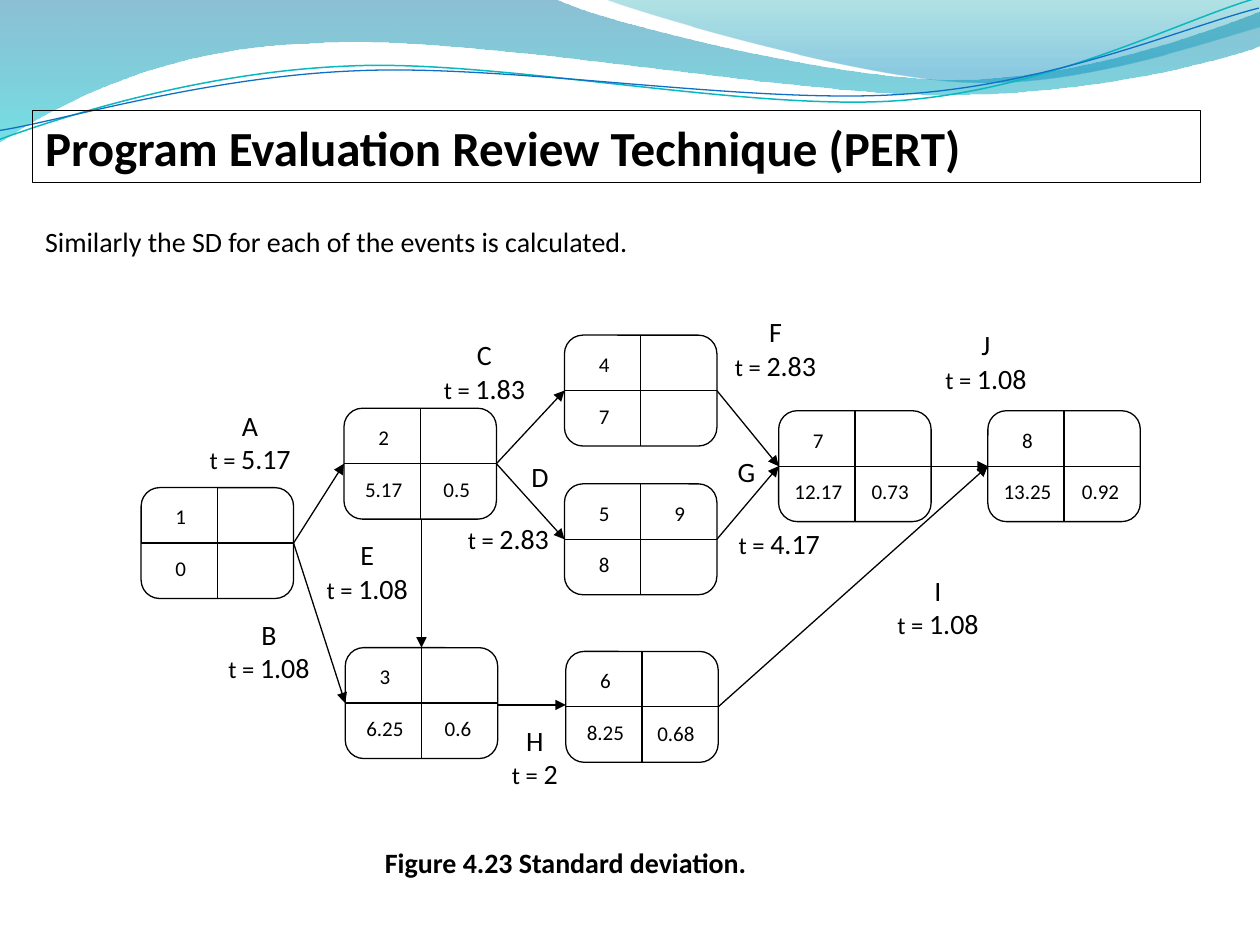
from collections import namedtuple
from dataclasses import dataclass

from lxml.etree import SubElement
from pptx import Presentation
from pptx.dml.color import RGBColor
from pptx.enum.shapes import MSO_CONNECTOR, MSO_SHAPE
from pptx.enum.text import MSO_ANCHOR, MSO_AUTO_SIZE, PP_ALIGN
from pptx.oxml.ns import qn
from pptx.util import Emu, Pt

PX = 9144  # one px is a hundredth of an inch
Box = namedtuple("Box", "left top width height")


@dataclass(frozen=True)
class Theme:
    font: str = "Calibri"
    ink: str = "000000"
    title: int = 28
    body: int = 16
    prefix: int = 14
    cell: int = 12
    line: float = 0.75
    # stops are (position, colour, opacity in percent)
    wave: tuple = ((0, "0074A1", 45), (1, "00C6CF", 55))
    crest: tuple = ((0, "00A1A9", 30), (0.8, "008BBF", 45))
    teal: str = "0AB8BF"
    blue: str = "0F6FC6"


THEME = Theme()
NODE_WIDTH, NODE_HEIGHT = 121, 88
STRAND_TILT = 357.3

# Each outline: start point, then points to draw a line to (2 numbers) or a curve to (6)
WAVE = [(0, 0), (440, -1), (476, 17, 664, 63, 758, 63), (853, 63, 958, 26, 1000, 9),
        (1001, 36), (983, 44, 870, 76, 746, 75), (622, 75, 382, 28, 257, 34),
        (129, 36, 46, 83, -1, 113), (0, 0)]
CREST = [(479, -1), (509, 11, 682, 62, 769, 65), (856, 69, 961, 32, 1000, 21),
         (1000, 0), (479, -1)]
TEAL_STRAND = [(-2, 87), (47, 72, 158, 41, 278, 42), (396, 42, 591, 93, 712, 90),
               (832, 87, 940, 36, 1000, 22)]
BLUE_STRAND = [(-2, 80), (46, 75, 164, 45, 283, 46), (404, 46, 596, 88, 716, 85),
               (835, 83, 942, 42, 1001, 30)]

# Event: left, top, earliest time
EVENTS = {
    1: (112, 387, "0"), 2: (273, 324, "5.17"), 4: (448, 266, "7"), 5: (448, 384, "8"),
    6: (449, 517, "8.25"), 3: (274, 514, "6.25"), 7: (618, 326, "12.17"),
    8: (784, 326, "13.25"),
}
ACTIVITIES = [(1, 2), (2, 4), (5, 7), (6, 8), (1, 3), (2, 3), (2, 5), (4, 7), (7, 8), (3, 6)]
# Activity label: name, time, left, top
LABELS = [
    ("A", "5.17", 155, 319), ("C", "1.83", 341, 263), ("B", "1.08", 170, 485),
    ("E", "1.08", 248, 422), ("H", "2", 381, 569), ("F", "2.83", 572, 245),
    ("J", "1.08", 739, 255), ("I", "1.08", 701, 450), ("", "4.17", 575, 413),
    ("", "2.83", 360, 409), ("D", "", 385, 360), ("G", "", 549, 356),
]
# Right-hand cell value: text, left, top
DEVIATIONS = [("0.6", 335, 568), ("0.5", 334, 378), ("0.68", 508, 572),
              ("0.73", 678, 380), ("0.92", 845, 380), ("9", 511, 397)]


def emu(*lengths):
    return [Emu(round(length * PX)) for length in lengths]


def apply_format(target, values):
    for name, value in values.items():
        setattr(target, name, value)


def draw_line(item, colour=THEME.ink, width=THEME.line):
    item.line.color.rgb = RGBColor.from_string(colour)
    item.line.width = Pt(width)


def write(shape, lines, align=PP_ALIGN.CENTER, anchor=MSO_ANCHOR.TOP, margin=None, bold=False):
    """Fill a shape with lines, each a list of (text, size) spans."""
    frame = shape.text_frame
    apply_format(frame, {"word_wrap": True, "auto_size": MSO_AUTO_SIZE.SHAPE_TO_FIT_TEXT,
                         "vertical_anchor": anchor})
    if margin is not None:
        apply_format(frame, {f"margin_{side}": margin
                             for side in ("left", "top", "right", "bottom")})
    for index, spans in enumerate(lines):
        para = frame.add_paragraph() if index else frame.paragraphs[0]
        para.alignment = align
        for text, size in spans:
            span = para.add_run()
            span.text = text
            apply_format(span.font, {"name": THEME.font, "size": Pt(size), "bold": bold})
            span.font.color.rgb = RGBColor.from_string(THEME.ink)


def add_text(shapes, box, lines, **options):
    write(shapes.add_textbox(*emu(*box)), lines, **options)


def add_cell(shapes, left, top, text):
    add_text(shapes, Box(left, top, 57, 20), [[(text, THEME.cell)]], margin=0)


def add_line(shapes, start, end, arrow=False):
    line = shapes.add_connector(MSO_CONNECTOR.STRAIGHT, *emu(*start, *end))
    draw_line(line)
    properties = line._element.spPr
    if arrow:
        SubElement(properties.find(qn("a:ln")), qn("a:tailEnd"), type="triangle")
    SubElement(properties, qn("a:effectLst"))


def add_outline(shapes, box, outline, closed):
    """Draw every point as a line, then join each curve's three lines into one curve."""
    points = [emu(box.left + x, box.top + y)
              for piece in outline for x, y in zip(piece[::2], piece[1::2])]
    builder = shapes.build_freeform(*points[0])
    builder.add_line_segments(points[1:], close=closed)
    shape = builder.convert_to_shape()
    shape.shadow.inherit = False
    segments = iter(list(shape._element.iter(qn("a:lnTo"))))
    for piece in outline[1:]:
        segment = next(segments)
        if len(piece) == 6:
            segment.tag = qn("a:cubicBezTo")
            for _ in range(2):
                extra = next(segments)
                segment.append(extra[0])
                extra.getparent().remove(extra)
    return shape


def add_waves(page, box):
    for outline, stops in ((WAVE, THEME.wave), (CREST, THEME.crest)):
        shape = add_outline(page.shapes, box, outline, closed=True)
        shape.line.fill.background()
        shape.fill.gradient()
        shape.fill.gradient_angle = 270
        for stop, (position, colour, _) in zip(shape.fill.gradient_stops, stops):
            stop.position = position
            stop.color.rgb = RGBColor.from_string(colour)
        for node, (_, _, opacity) in zip(shape._element.spPr.iter(qn("a:srgbClr")), stops):
            SubElement(node, qn("a:alpha"), val=str(opacity * 1000))
    strands = page.shapes.add_group_shape().shapes
    for outline, colour, width in ((TEAL_STRAND, THEME.teal, 0.85),
                                   (BLUE_STRAND, THEME.blue, 0.75)):
        strand = add_outline(strands, box, outline, closed=False)
        strand.rotation = STRAND_TILT
        strand.fill.background()
        draw_line(strand, colour, width)


def add_frame(shapes, kind, box):
    shape = shapes.add_shape(kind, *emu(*box))
    shape.shadow.inherit = False
    shape.fill.background()
    draw_line(shape)
    return shape


def add_title(page, box):
    write(add_frame(page.shapes, MSO_SHAPE.RECTANGLE, box),
          [[("Program Evaluation Review Technique (PERT)", THEME.title)]],
          align=PP_ALIGN.LEFT, bold=True)


def add_event(page, box, number, time):
    shapes = page.shapes.add_group_shape().shapes
    add_frame(shapes, MSO_SHAPE.ROUNDED_RECTANGLE, box)
    left, top, width, height = box
    middle, centre = top + height / 2, left + width / 2
    add_line(shapes, (centre, top), (centre, top + height))
    add_line(shapes, (left, middle), (left + width, middle))
    add_cell(shapes, left + 3, top + 13, str(number))
    add_cell(shapes, left + 3, top + 54, time)


def add_activity(page, source, target):
    """Join two event boxes, downwards if one stands under the other."""
    if abs(source.left - target.left) < source.width:
        centre = target.left + target.width / 2
        start, end = (centre, source.top + source.height), (centre, target.top)
    else:
        heights = [box.top + box.height / 2 for box in (source, target)]
        if abs(heights[0] - heights[1]) < 5:
            heights = [sum(heights) / 2] * 2
        start, end = (source.left + source.width, heights[0]), (target.left, heights[1])
    add_line(page.shapes, start, end, arrow=True)


def add_network(page, box):
    places = {}
    for number, (left, top, time) in EVENTS.items():
        places[number] = Box(box.left + left, box.top + top, NODE_WIDTH, NODE_HEIGHT)
        add_event(page, places[number], number, time)
    for source, target in ACTIVITIES:
        add_activity(page, places[source], places[target])
    for name, time, left, top in LABELS:
        lines = [[(name, THEME.body)]] if name else []
        if time:
            lines.append([("t = ", THEME.prefix), (time, THEME.body)])
        height = 64 if len(lines) == 2 else 37
        add_text(page.shapes, Box(box.left + left, box.top + top, 87, height), lines)
    for text, left, top in DEVIATIONS:
        add_cell(page.shapes, box.left + left, box.top + top, text)


def main():
    deck = Presentation()
    deck.slide_width, deck.slide_height = emu(1000, 750)
    page = deck.slides.add_slide(deck.slide_layouts[6])
    whole = Box(0, 0, 1000, 750)
    add_waves(page, whole)
    add_title(page, Box(26, 88, 927, 57))
    add_text(page.shapes, Box(26, 173, 927, 37),
             [[("Similarly the SD for each of the events is calculated.", THEME.body)]],
             align=PP_ALIGN.LEFT, anchor=MSO_ANCHOR.MIDDLE)
    add_network(page, whole)
    add_text(page.shapes, Box(204, 666, 490, 37),
             [[("Figure 4.23 Standard deviation.", THEME.body)]], bold=True)
    deck.save("out.pptx")


if __name__ == "__main__":
    main()
